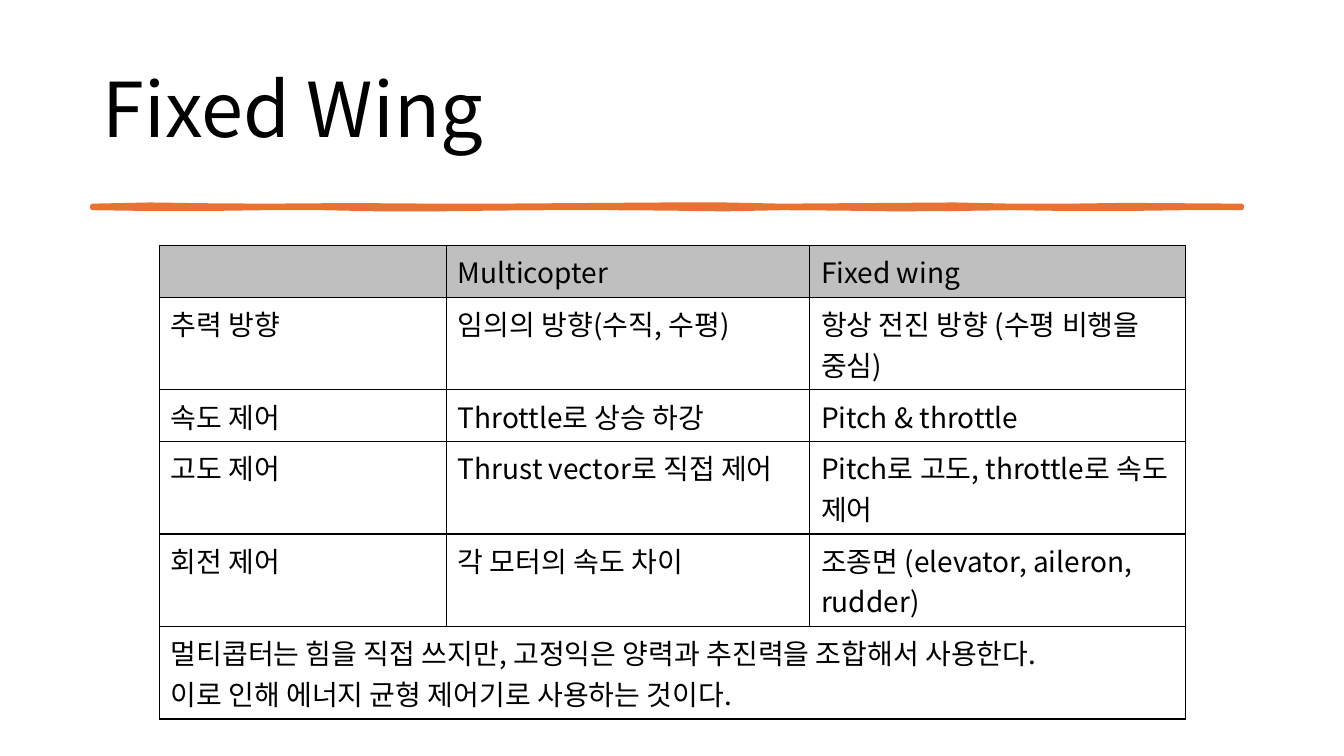
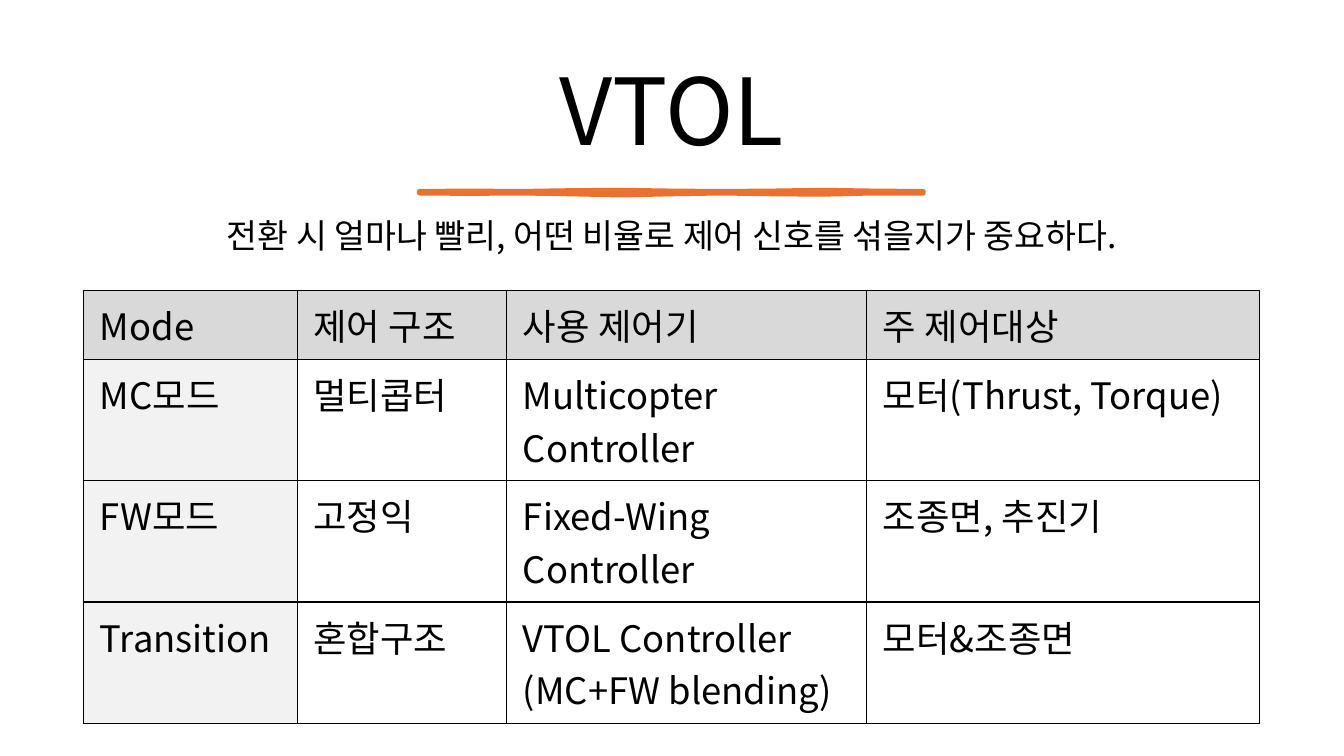
from lxml.etree import SubElement
from pptx import Presentation
from pptx.dml.color import RGBColor
from pptx.enum.text import MSO_ANCHOR, MSO_AUTO_SIZE, PP_ALIGN
from pptx.oxml.ns import qn
from pptx.util import Cm, Pt

FONT = "Noto Sans CJK KR"
BLACK = RGBColor(0x00, 0x00, 0x00)
ORANGE = RGBColor(0xE9, 0x71, 0x32)
GRAY = RGBColor(0xBF, 0xBF, 0xBF)
SILVER = RGBColor(0xD9, 0xD9, 0xD9)
PALE = RGBColor(0xF2, 0xF2, 0xF2)

# Stroke edges at equal steps: bulge above and below, in hundredths of a cm
LONG = ((0, 3, 1, 0, 1, 1, 0, 0, 1, 2, 3, 3, 0, 1, 2, 3, 0, 0, 2, 1, 0),
        (0, 2, 2, 0, 0, 3, 3, 1, 0, 0, 1, 3, 0, 1, 3, 2, 0, 2, 2, 0, 0))
SHORT = ((0, 1, 0, 2, 3, 1, 0, 1, 3, 1, 0),
         (0, 1, 0, 2, 5, 2, 0, 2, 3, 0, 0))

WING = [
    ["", "Multicopter", "Fixed wing"],
    ["추력 방향", "임의의 방향(수직, 수평)", "항상 전진 방향 (수평 비행을 중심)"],
    ["속도 제어", "Throttle로 상승 하강", "Pitch & throttle"],
    ["고도 제어", "Thrust vector로 직접 제어", "Pitch로 고도, throttle로 속도 제어"],
    ["회전 제어", "각 모터의 속도 차이", "조종면 (elevator, aileron, rudder)"],
    ["멀티콥터는 힘을 직접 쓰지만, 고정익은 양력과 추진력을 조합해서 사용한다.\n"
     "이로 인해 에너지 균형 제어기로 사용하는 것이다.", "", ""],
]
MODES = [
    ["Mode", "제어 구조", "사용 제어기", "주 제어대상"],
    ["MC모드", "멀티콥터", "Multicopter Controller", "모터(Thrust, Torque)"],
    ["FW모드", "고정익", "Fixed-Wing Controller", "조종면, 추진기"],
    ["Transition", "혼합구조", "VTOL Controller\n(MC+FW blending)", "모터&조종면"],
]


def write(frame, text, size, align):
    """Fill a text frame, one paragraph per line of text."""
    for num, line in enumerate(text.split("\n")):
        para = frame.add_paragraph() if num else frame.paragraphs[0]
        para.alignment = align
        run = para.add_run()
        run.text = line
        run.font.size = Pt(size)
        run.font.color.rgb = BLACK
        run.font.name = FONT
        SubElement(run._r.get_or_add_rPr(), qn("a:ea"), typeface=FONT)


def label(shape, box, text, size, align):
    """Move a placeholder to its box and set its text."""
    shape.left, shape.top, shape.width, shape.height = map(Cm, box)
    frame = shape.text_frame
    frame.word_wrap = True
    frame.auto_size = MSO_AUTO_SIZE.NONE
    frame.vertical_anchor = MSO_ANCHOR.MIDDLE
    write(frame, text, size, align)
    para = frame.paragraphs[0]
    para.line_spacing = 0.9
    return para


def stroke(slide, left, top, width, edges):
    """Draw the brushed rule below a title."""
    above, below = edges
    step = width / (len(above) - 1)
    upper = [(left + i * step, top - up / 100) for i, up in enumerate(above)]
    lower = [(left + i * step, top + 0.05 + down / 100)
             for i, down in enumerate(below)]
    dots = [(Cm(x), Cm(y)) for x, y in upper + lower[::-1]]
    pen = slide.shapes.build_freeform(*dots[0])
    pen.add_line_segments(dots[1:], close=True)
    rule = pen.convert_to_shape()
    rule.shadow.inherit = False
    rule.fill.solid()
    rule.fill.fore_color.rgb = ORANGE
    rule.line.color.rgb = ORANGE
    rule.line.width = Pt(3.25)
    SubElement(rule.line._get_or_add_ln(), qn("a:round"))


def frame_cell(cell):
    """Give a cell thin black borders."""
    props = cell._tc.get_or_add_tcPr()
    for side in ("a:lnL", "a:lnR", "a:lnT", "a:lnB"):
        edge = SubElement(props, qn(side), w=str(Pt(1)))
        fill = SubElement(edge, qn("a:solidFill"))
        SubElement(fill, qn("a:srgbClr"), val=str(BLACK))


def grid(slide, left, top, cols, rows, data, size, pad, align, head, side=None):
    """Add a bordered table with a filled head row and first column."""
    table = slide.shapes.add_table(
        len(rows), len(cols), Cm(left), Cm(top), Cm(sum(cols)), Cm(sum(rows))).table
    table.first_row = table.horz_banding = False
    for col, width in zip(table.columns, cols):
        col.width = Cm(width)
    for r, high in enumerate(rows):
        table.rows[r].height = Cm(high)
        for c, text in enumerate(data[r]):
            cell = table.cell(r, c)
            cell.margin_left = cell.margin_right = Cm(pad[0])
            cell.margin_top = cell.margin_bottom = Cm(pad[1])
            frame_cell(cell)
            tint = head if r == 0 else side if c == 0 else None
            if tint is None:
                cell.fill.background()
            else:
                cell.fill.solid()
                cell.fill.fore_color.rgb = tint
            if text:
                write(cell.text_frame, text, size, align)
    return table


def wing_page(deck):
    slide = deck.slides.add_slide(deck.slide_layouts[5])
    label(slide.shapes.title, (2.33, 1.02, 29.21, 3.68), "Fixed Wing", 54,
          PP_ALIGN.LEFT)
    stroke(slide, 2.33, 5.19, 28.96, LONG)
    # Comparison, closed by a note across all columns
    table = grid(slide, 4.02, 6.19, (7.24, 9.15, 9.46),
                 (1.25, 2.11, 1.25, 2.11, 2.11, 2.11),
                 WING, 20, (0.28, 0.14), PP_ALIGN.LEFT, GRAY)
    table.cell(5, 0).merge(table.cell(5, 2))


def vtol_page(deck):
    slide = deck.slides.add_slide(deck.slide_layouts[1])
    label(slide.shapes.title, (1.78, 1.17, 30.3, 3.48), "VTOL", 66,
          PP_ALIGN.CENTER)
    # Lead sentence without a bullet
    lead = label(slide.placeholders[1], (1.78, 5.03, 30.3, 1.9),
                 "전환 시 얼마나 빨리, 어떤 비율로 제어 신호를 섞을지가 중요하다.", 24,
                 PP_ALIGN.CENTER)
    lead.space_before = Pt(10)
    props = lead._p.get_or_add_pPr()
    props.set("marL", "0")
    props.set("indent", "0")
    SubElement(props, qn("a:buNone"))
    stroke(slide, 10.57, 4.82, 12.7, SHORT)
    # Flight modes
    grid(slide, 2.11, 7.32, (5.38, 5.28, 9.07, 9.91), (1.68, 2.77, 2.77, 2.77),
         MODES, 26, (0.41, 0.2), PP_ALIGN.JUSTIFY, SILVER, PALE)


def main():
    deck = Presentation()
    deck.slide_width, deck.slide_height = Cm(33.87), Cm(19.05)
    wing_page(deck)
    vtol_page(deck)
    deck.save("out.pptx")


if __name__ == "__main__":
    main()
